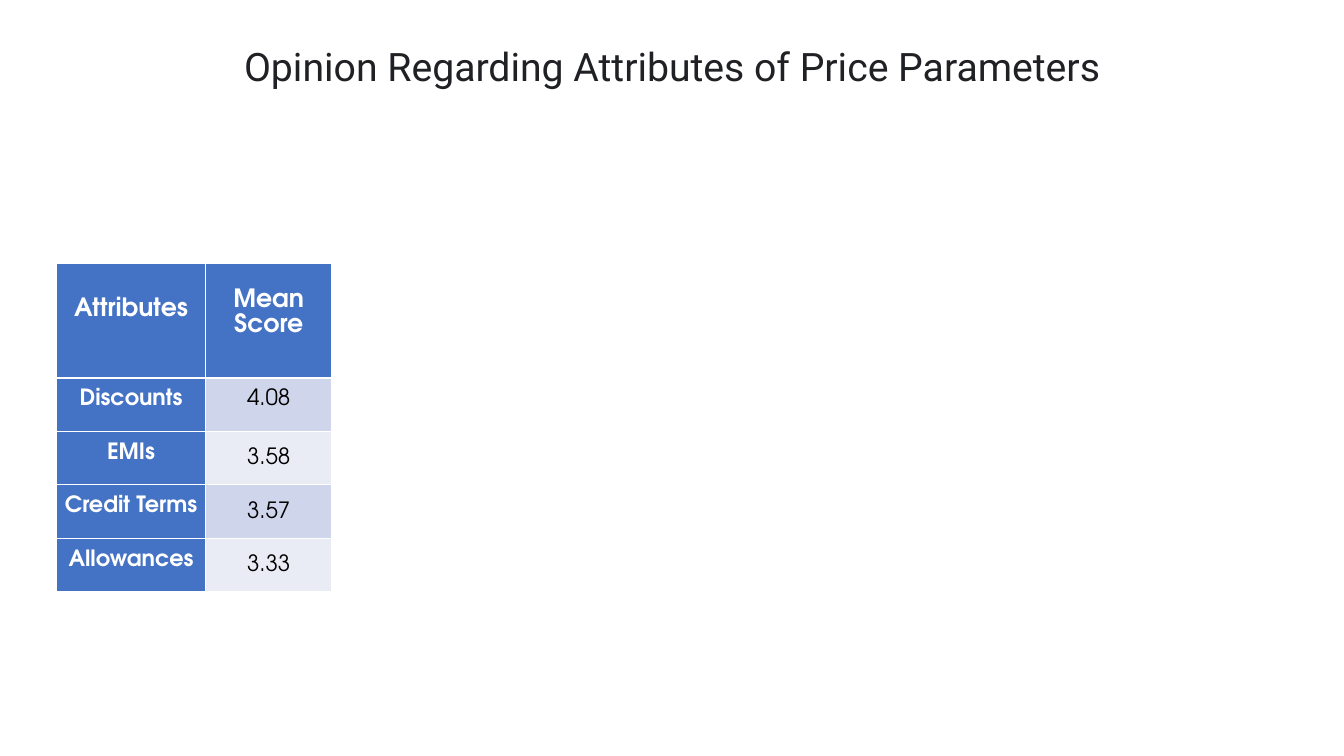
from lxml import etree
from pptx import Presentation
from pptx import util as u
from pptx.dml.color import RGBColor
from pptx.enum import text
from pptx.oxml import ns

WHITE = RGBColor(0xFF, 0xFF, 0xFF)
BLACK = RGBColor(0, 0, 0)
INK = RGBColor(0x20, 0x21, 0x24)
BLUE = RGBColor(0x44, 0x72, 0xC4)
BANDS = (RGBColor(0xCF, 0xD5, 0xEA), RGBColor(0xE9, 0xEB, 0xF5))

TITLE_FONT = "Roboto"
TABLE_FONT = "TeX Gyre Adventor"
COLUMN_WIDTHS = (1.48, 1.25)
HEADER_HEIGHT, ROW_HEIGHT = 1.14, 0.53
HEADERS = (("Attributes", 0.33), ("Mean Score", 0.24))
SCORES = (("Discounts", "4.08"), ("EMIs", "3.58"),
          ("Credit Terms", "3.57"), ("Allowances", "3.33"))


def write(frame, words, font, size, color, bold=False, spacing=1.0):
    """Write one centred paragraph into a text frame."""
    paragraph = frame.paragraphs[0]
    paragraph.alignment = text.PP_ALIGN.CENTER
    paragraph.line_spacing = spacing
    run = paragraph.add_run()
    run.text = words
    run.font.name = font
    run.font.size = u.Pt(size)
    run.font.bold = bold
    run.font.color.rgb = color


def add_title(slide, words, width, height):
    """Add the slide title, centred across the slide."""
    box = slide.shapes.add_textbox(round(width * 0.015), round(height * 0.05),
                                   round(width * 0.97), round(height * 0.076))
    box.text_frame.word_wrap = True
    write(box.text_frame, words, TITLE_FONT, 28, INK)


def add_borders(cell, color, points):
    """Draw the same line on all four sides of a cell."""
    properties = cell._tc.get_or_add_tcPr()
    for index, side in enumerate(("lnL", "lnR", "lnT", "lnB")):
        line = etree.Element(ns.qn(f"a:{side}"), w=str(u.Pt(points)))
        fill = etree.SubElement(line, ns.qn("a:solidFill"))
        etree.SubElement(fill, ns.qn("a:srgbClr"), val=str(color))
        properties.insert(index, line)


def fill_cell(cell, words, fill, side=0.07, top=0.0, middle=False, **style):
    """Set fill, margins, borders and wording of a table cell."""
    cell.fill.solid()
    cell.fill.fore_color.rgb = fill
    cell.margin_left = cell.margin_right = u.Inches(side)
    cell.margin_top, cell.margin_bottom = u.Inches(top), 0
    anchors = text.MSO_ANCHOR
    cell.vertical_anchor = anchors.MIDDLE if middle else anchors.TOP
    write(cell.text_frame, words, TABLE_FONT, **style)
    add_borders(cell, WHITE, 1)


def add_score_table(slide, left, top):
    """Add the table of attributes and their mean scores."""
    heights = [HEADER_HEIGHT] + [ROW_HEIGHT] * len(SCORES)
    table = slide.shapes.add_table(
        len(heights), len(COLUMN_WIDTHS), u.Inches(left), u.Inches(top),
        u.Inches(sum(COLUMN_WIDTHS)), u.Inches(sum(heights))).table
    for column, width in zip(table.columns, COLUMN_WIDTHS):
        column.width = u.Inches(width)
    for row, height in zip(table.rows, heights):
        row.height = u.Inches(height)

    label = dict(color=WHITE, bold=True, spacing=1.07)
    for column, (words, offset) in enumerate(HEADERS):
        fill_cell(table.cell(0, column), words, BLUE, top=offset, size=18, **label)
    for row, (attribute, score) in enumerate(SCORES, start=1):
        first = row == 1
        fill_cell(table.cell(row, 0), attribute, BLUE, top=0.1, size=16, **label)
        fill_cell(table.cell(row, 1), score, BANDS[(row - 1) % 2], side=0.01,
                  top=0.11 if first else 0.01, middle=not first,
                  size=16, color=BLACK)


def main():
    """Build and save the slide."""
    presentation = Presentation()
    presentation.slide_width = u.Inches(13.33)
    presentation.slide_height = u.Inches(7.5)
    slide = presentation.slides.add_slide(presentation.slide_layouts[6])
    add_title(slide, "Opinion Regarding Attributes of Price Parameters",
              presentation.slide_width, presentation.slide_height)
    add_score_table(slide, 0.56, 2.61)
    presentation.save("out.pptx")


main()
